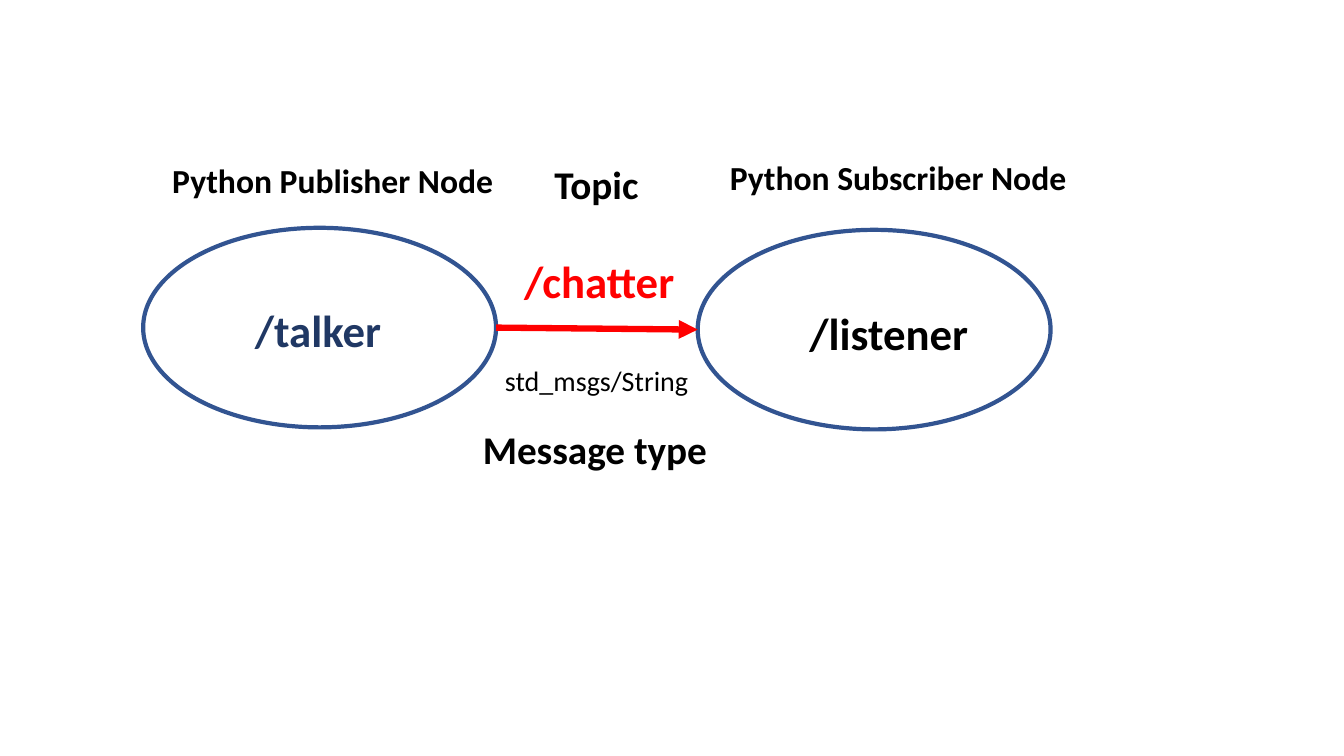
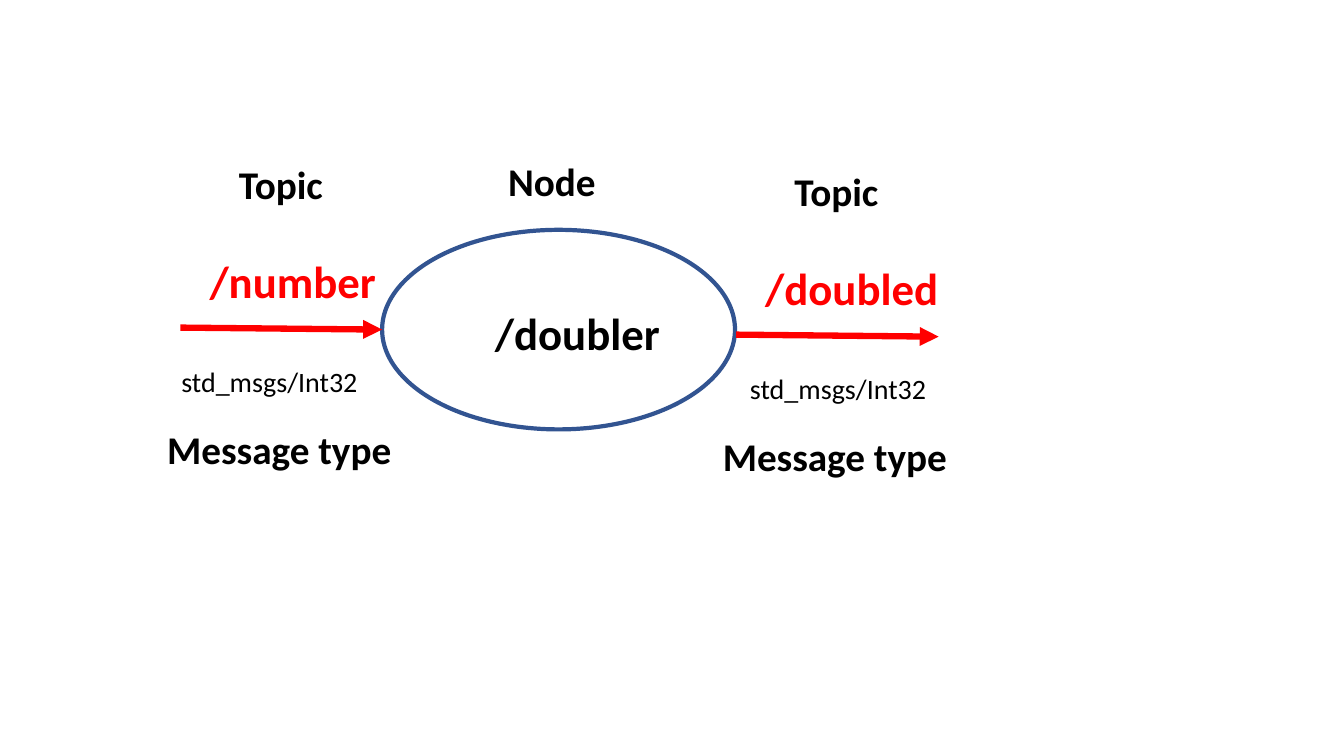
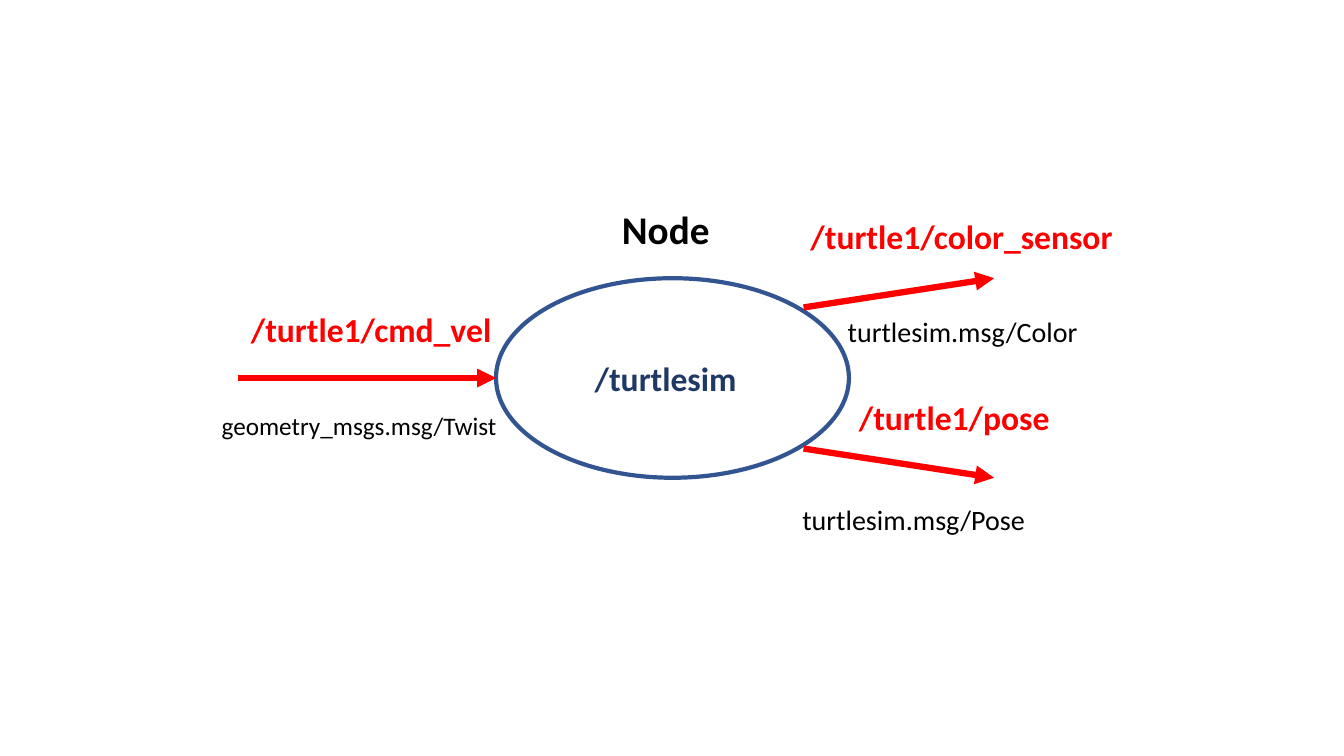
from dataclasses import dataclass

from lxml import etree
from pptx import Presentation
from pptx import util as u
from pptx.dml import color
from pptx.enum import shapes, text
from pptx.oxml import ns


@dataclass(frozen=True)
class TextStyle:
    """Type size in points, box height in inches, colour and weight."""
    size: int
    height: float
    colour: str = "000000"
    bold: bool = True


@dataclass(frozen=True)
class Label:
    """Wording with its offset from the part it belongs to, and its width."""
    wording: str
    dx: float
    dy: float
    width: float
    style: TextStyle


class Theme:
    """Colours, type and sizes shared by all slides."""
    font = "Calibri"
    outline, arrow = "325491", "FF0000"
    outline_width, arrow_width = 3, 4.5
    node_width, node_height = 3.5, 1.98
    node_name = TextStyle(32, 0.64)
    blue_name = TextStyle(32, 0.64, "203864")
    small_blue_name = TextStyle(24, 0.5, "203864")
    topic_name = TextStyle(32, 0.64, "FF0000")
    small_topic_name = TextStyle(24, 0.5, "FF0000")
    caption = TextStyle(28, 0.57)
    small_caption = TextStyle(24, 0.5)
    message = TextStyle(20, 0.44, bold=False)
    small_message = TextStyle(18, 0.4, bold=False)


NODE_CAPTION = Label("Node", 1.15, -0.77, 1.08, Theme.caption)
TOPIC_CAPTIONS = (
    Label("Topic", 0.48, -1.71, 1.04, Theme.caption),
    Label("Message type", -0.23, 0.92, 2.45, Theme.caption),
)


def rgb(value):
    """Return a colour from its hex code."""
    return color.RGBColor.from_string(value)


def add_labels(slide, left, top, labels):
    """Write labels at their offsets from the point (left, top)."""
    for label in labels:
        style = label.style
        box = slide.shapes.add_textbox(
            u.Inches(left + label.dx), u.Inches(top + label.dy),
            u.Inches(label.width), u.Inches(style.height))
        frame = box.text_frame
        frame.word_wrap = False
        frame.auto_size = text.MSO_AUTO_SIZE.SHAPE_TO_FIT_TEXT
        run = frame.paragraphs[0].add_run()
        run.text = label.wording
        formats = {"name": Theme.font, "size": u.Pt(style.size), "bold": style.bold}
        for attribute, value in formats.items():
            setattr(run.font, attribute, value)
        run.font.color.rgb = rgb(style.colour)


def add_node(slide, left, top, *labels):
    """Draw a node ellipse and its labels."""
    ellipse = slide.shapes.add_shape(
        shapes.MSO_SHAPE.OVAL, u.Inches(left), u.Inches(top),
        u.Inches(Theme.node_width), u.Inches(Theme.node_height))
    ellipse.shadow.inherit = False
    ellipse.fill.background()
    ellipse.line.color.rgb = rgb(Theme.outline)
    ellipse.line.width = u.Pt(Theme.outline_width)
    add_labels(slide, left, top, labels)


def add_topic(slide, start, end, *labels):
    """Draw a topic arrow and its labels, placed from the arrow's start."""
    arrow = slide.shapes.add_connector(
        shapes.MSO_CONNECTOR.STRAIGHT, *map(u.Inches, start + end))
    arrow.line.color.rgb = rgb(Theme.arrow)
    arrow.line.width = u.Pt(Theme.arrow_width)
    etree.SubElement(arrow.line._get_or_add_ln(), ns.qn("a:tailEnd"), type="triangle")
    etree.SubElement(arrow._element.spPr, ns.qn("a:effectLst"))
    add_labels(slide, *start, labels)


def build_publisher_slide(slide):
    """Show a publisher sending a topic to a subscriber."""
    add_node(slide, 1.42, 2.26,
             Label("/talker", 1.01, 0.69, 1.47, Theme.blue_name),
             Label("Python Publisher Node", 0.19, -0.72, 3.42, Theme.small_caption))
    add_node(slide, 6.92, 2.28,
             Label("/listener", 1.01, 0.7, 1.79, Theme.node_name),
             Label("Python Subscriber Node", 0.22, -0.77, 3.69, Theme.small_caption))
    add_topic(slide, (4.92, 3.25), (6.92, 3.27),
              Label("/chatter", 0.18, -0.78, 1.72, Theme.topic_name),
              Label("std_msgs/String", -0.01, 0.31, 2.04, Theme.message),
              *TOPIC_CAPTIONS)


def build_doubler_slide(slide):
    """Show a node between an incoming and an outgoing topic."""
    add_node(slide, 3.79, 2.28,
             Label("/doubler", 1.02, 0.7, 1.85, Theme.node_name), NODE_CAPTION)
    for start, end, name, width, message_dx in (
            ((1.79, 3.25), (3.79, 3.27), "/number", 1.87, -0.09),
            ((7.3, 3.32), (9.31, 3.34), "/doubled", 1.93, 0.04)):
        add_topic(slide, start, end,
                  Label(name, 0.19, -0.78, width, Theme.topic_name),
                  Label("std_msgs/Int32", message_dx, 0.32, 1.97, Theme.message),
                  *TOPIC_CAPTIONS)


def build_turtlesim_slide(slide):
    """Show a node with one incoming and two outgoing topics."""
    add_node(slide, 4.92, 2.76,
             Label("/turtlesim", 0.88, 0.74, 1.63, Theme.small_blue_name), NODE_CAPTION)
    add_topic(slide, (2.36, 3.75), (4.92, 3.75),
              Label("/turtle1/cmd_vel", 0.03, -0.73, 2.61, Theme.small_topic_name),
              Label("geometry_msgs.msg/Twist", -0.26, 0.27, 2.95, Theme.small_message))
    add_topic(slide, (7.97, 3.05), (9.86, 2.76),
              Label("/turtle1/color_sensor", -0.03, -0.96, 3.23, Theme.small_topic_name),
              Label("turtlesim.msg/Color", 0.34, 0.02, 2.5, Theme.message))
    add_topic(slide, (7.97, 4.45), (9.86, 4.74),
              Label("/turtle1/pose", 0.45, -0.56, 2.12, Theme.small_topic_name),
              Label("turtlesim.msg/Pose", -0.11, 0.49, 2.43, Theme.message))


def main():
    """Build and save the presentation."""
    presentation = Presentation()
    presentation.slide_width = u.Inches(13.33)
    presentation.slide_height = u.Inches(7.5)
    blank_layout = presentation.slide_layouts.get_by_name("Blank")
    for build in (build_publisher_slide, build_doubler_slide, build_turtlesim_slide):
        build(presentation.slides.add_slide(blank_layout))
    presentation.save("out.pptx")


main()
